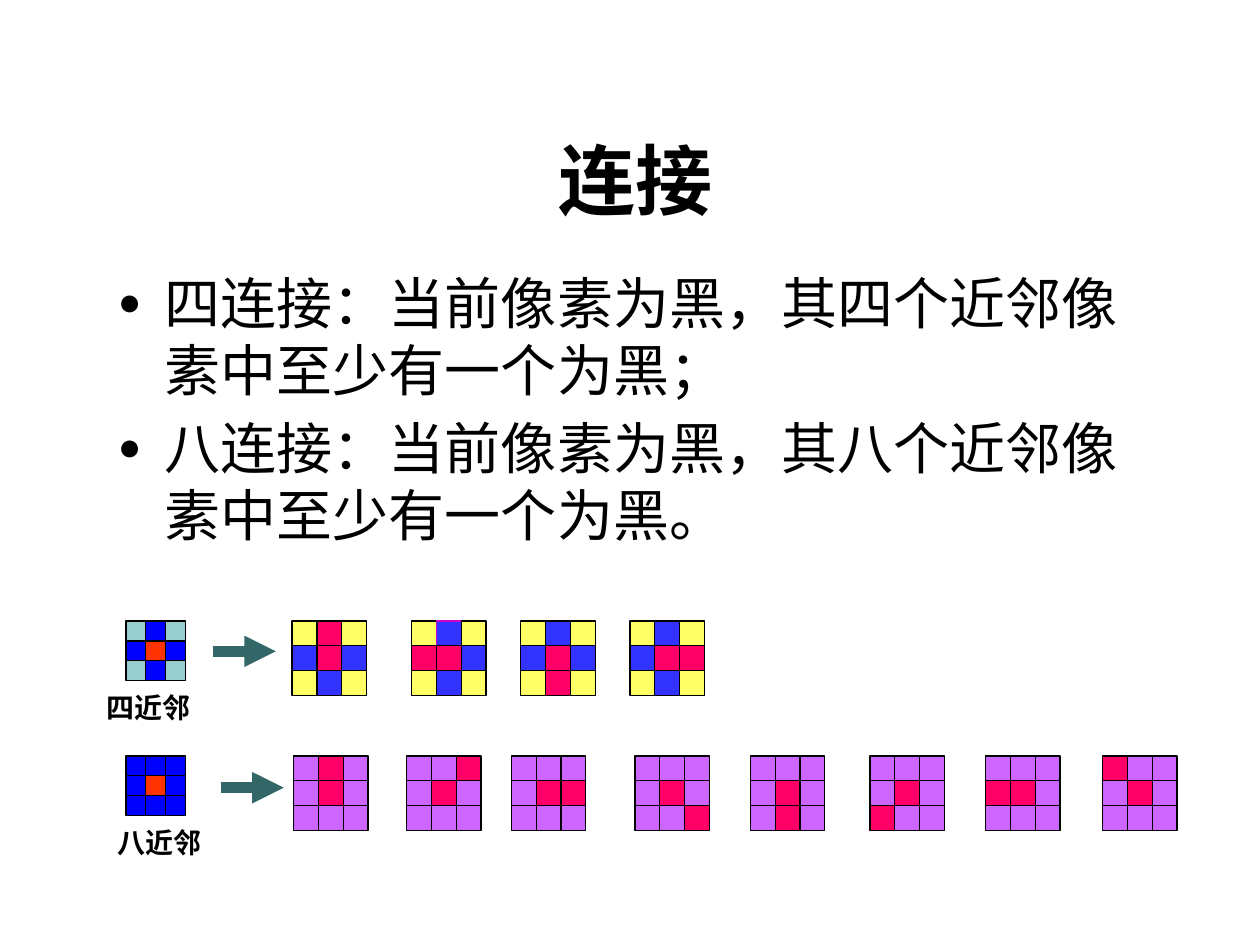
from lxml.etree import SubElement
from pptx import Presentation
from pptx.dml.color import RGBColor
from pptx.enum.lang import MSO_LANGUAGE_ID
from pptx.enum.shapes import MSO_CONNECTOR, MSO_SHAPE
from pptx.enum.text import MSO_ANCHOR, MSO_AUTO_SIZE, PP_ALIGN
from pptx.oxml.ns import qn
from pptx.util import Cm, Pt

HUES = {
    "black": "000000", "teal": "336666", "pale": "97CDCC",
    "blue": "0000FF", "orange": "FF3300", "yellow": "FFFF66",
    "azure": "3333FF", "red": "FF0066", "purple": "CC66FF",
    "magenta": "CC00CC",
}
MID = 4  # cells of a 3 x 3 block count from 0, row by row
FOUR = ["yellow", "azure"] * 4 + ["yellow"]
EIGHT = ["purple"] * 9
TOP, LOW = 12.52, 15.24

# (left edge, index of the neighbour that is set)
FOUR_CASES = [(5.89, 1), (8.3, 3), (10.5, 7), (12.7, 5)]
EIGHT_CASES = [(5.92, 1), (8.2, 2), (10.31, 5), (12.8, 8),
               (15.13, 7), (17.54, 6), (19.87, 3), (22.23, 0)]


class Deck:
    def __init__(self):
        self.show = Presentation()
        self.show.slide_width, self.show.slide_height = Cm(25.4), Cm(19.05)
        self.slide = self.show.slides.add_slide(self.show.slide_layouts[1])

    def hue(self, name):
        return RGBColor.from_string(HUES[name])

    def place(self, shape, left, top, width, height):
        shape.left, shape.top = Cm(left), Cm(top)
        shape.width, shape.height = Cm(width), Cm(height)

    def run(self, para, text, size, face, bold=False):
        run = para.add_run()
        run.text = text
        font = run.font
        font.size, font.name, font.bold = Pt(size), face, bold
        font.color.rgb = self.hue("black")
        font.language_id = MSO_LANGUAGE_ID.SIMPLIFIED_CHINESE

    def title(self, text):
        shape = self.slide.shapes.title
        self.place(shape, 2.12, 1.48, 21.38, 3.18)
        frame = shape.text_frame
        frame.auto_size = MSO_AUTO_SIZE.NONE
        frame.vertical_anchor = MSO_ANCHOR.BOTTOM
        para = frame.paragraphs[0]
        para.alignment = PP_ALIGN.CENTER
        self.run(para, text, 44, "Montserrat", True)

    def bullet(self, para):
        props = para._p.get_or_add_pPr()
        props.set("marL", str(Cm(0.95)))
        props.set("indent", str(Cm(-0.95)))
        SubElement(props, qn("a:buSzPct")).set("val", "70000")
        SubElement(props, qn("a:buChar")).set("char", "●")

    def body(self, items):
        shape = self.slide.placeholders[1]
        self.place(shape, 2.12, 5.29, 21.38, 11.22)
        frame = shape.text_frame
        frame.auto_size = MSO_AUTO_SIZE.NONE
        for i, text in enumerate(items):
            para = frame.add_paragraph() if i else frame.paragraphs[0]
            self.bullet(para)
            para.space_before = Pt(6 if i else 0)
            self.run(para, text, 32, "Arial")

    def block(self, left, top, side, fills, edges=None):
        """Draw a grouped 3 x 3 block; edges maps a cell to its line colour."""
        group = self.slide.shapes.add_group_shape()
        for i, fill in enumerate(fills):
            row, col = divmod(i, 3)
            cell = group.shapes.add_shape(
                MSO_SHAPE.RECTANGLE, Cm(left + col * side),
                Cm(top + row * side), Cm(side), Cm(side))
            cell.shadow.inherit = False
            cell.fill.solid()
            cell.fill.fore_color.rgb = self.hue(fill)
            cell.line.color.rgb = self.hue((edges or {}).get(i, "black"))
            cell.line.width = Pt(0.75)
        return group

    def label(self, group, text, left, top, width):
        box = group.shapes.add_textbox(Cm(left), Cm(top), Cm(width), Cm(0.94))
        box.text_frame.word_wrap = True
        self.run(box.text_frame.paragraphs[0], text, 16,
                 "Times New Roman", True)

    def arrow(self, left, top):
        line = self.slide.shapes.add_connector(
            MSO_CONNECTOR.STRAIGHT, Cm(left), Cm(top), Cm(left + 1.27), Cm(top))
        line.line.color.rgb = self.hue("teal")
        line.line.width = Pt(6)
        SubElement(line.line._get_or_add_ln(), qn("a:tailEnd")).set(
            "type", "triangle")
        SubElement(line._element.spPr, qn("a:effectLst"))

    def cases(self, top, base, pairs, edges):
        """Draw one block per pair, with the centre and one neighbour red."""
        for left, spot in pairs:
            fills = ["red" if i in (MID, spot) else fill
                     for i, fill in enumerate(base)]
            self.block(left, top, 0.5, fills, edges.get(spot))


def main():
    deck = Deck()
    deck.title("连接")
    deck.body(["四连接：当前像素为黑，其四个近邻像素中至少有一个为黑；",
               "八连接：当前像素为黑，其八个近邻像素中至少有一个为黑。"])

    near = ["pale", "blue"] * 4 + ["pale"]
    near[MID] = "orange"
    group = deck.block(2.54, TOP, 0.4, near)
    deck.label(group, "四近邻", 1.9, 13.79, 2.34)

    near = ["blue"] * 9
    near[MID] = "orange"
    group = deck.block(2.54, LOW, 0.4, near)
    deck.label(group, "八近邻", 2.12, 16.51, 2.54)

    deck.arrow(4.29, 13.13)
    deck.arrow(4.45, 15.88)
    deck.cases(TOP, FOUR, FOUR_CASES, {3: {1: "magenta"}})
    deck.cases(LOW, EIGHT, EIGHT_CASES, {})
    deck.show.save("out.pptx")


if __name__ == "__main__":
    main()
